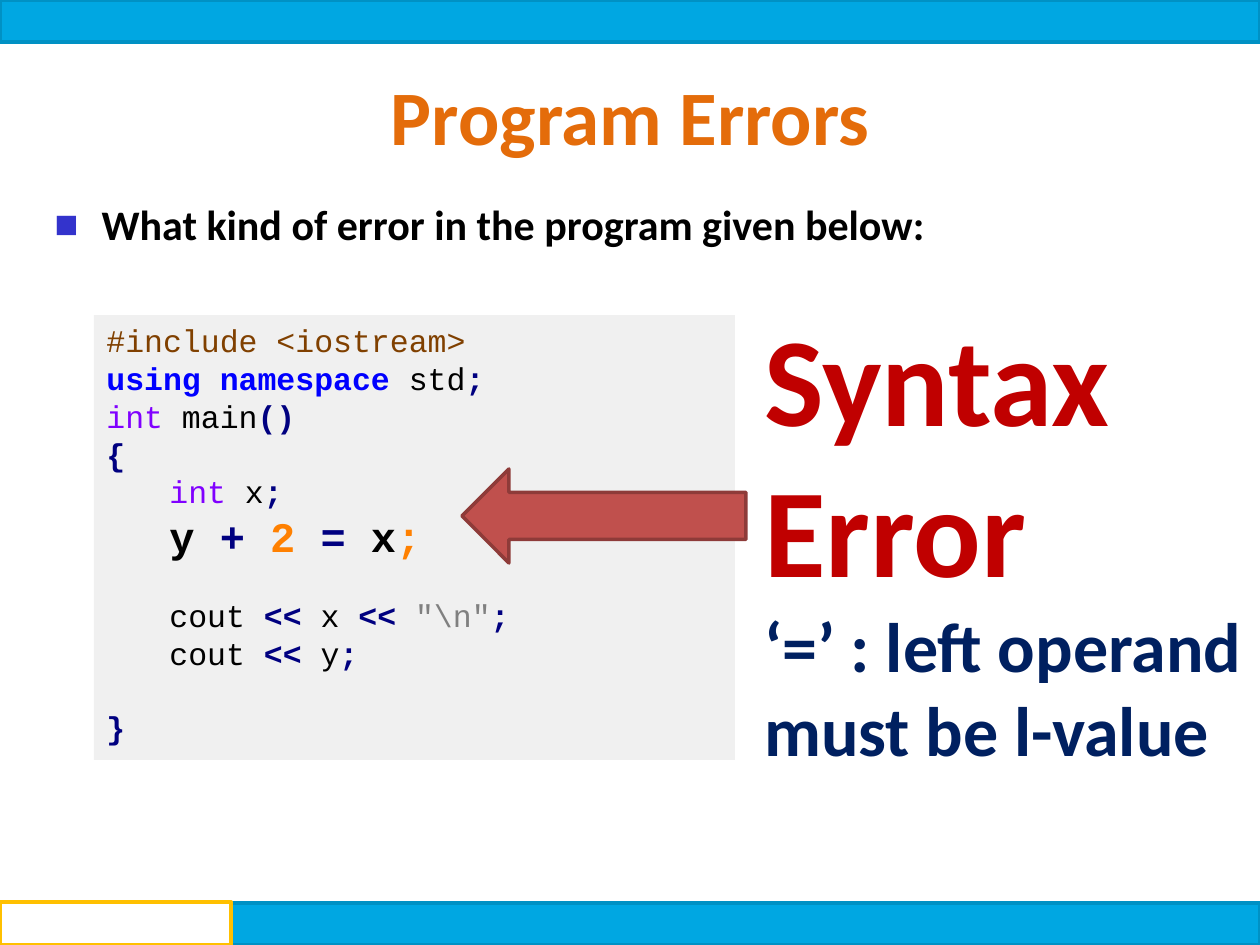
from lxml.etree import SubElement
from pptx import Presentation
from pptx.dml.color import RGBColor
from pptx.enum.shapes import MSO_SHAPE as Shape
from pptx.enum.text import MSO_ANCHOR as Anchor, MSO_AUTO_SIZE as AutoSize, PP_ALIGN as Align
from pptx.oxml.ns import qn
from pptx.util import Emu, Pt

EMU_PER_PX = 914400 / 126
COLORS = {
    "bar": "00A7E2", "bar_line": "0091C4", "white": "FFFFFF", "gold": "FFC000",
    "title": "E46C0A", "black": "000000", "bullet": "3333CC", "panel": "D9D9D9",
    "arrow": "C0504D", "arrow_line": "8E3B39", "verdict": "C00000", "reason": "002060",
    "directive": "804000", "keyword": "0000FF", "type": "8000FF",
    "operator": "000080", "number": "FF8000", "string": "808080",
}
BOLD_TOKENS = {"keyword", "operator"}
CODE_LINE = 20.4  # height in points of one line of 18 pt code

# Each line: indent level, size, blank lines before it, tokens as (text, colour).
CODE = [
    (0, 18, 0, [("#include <iostream>", "directive")]),
    (0, 18, 0, [("using namespace ", "keyword"), ("std", "black"), (";", "operator")]),
    (0, 18, 0, [("int ", "type"), ("main", "black"), ("()", "operator")]),
    (0, 18, 0, [("{", "operator")]),
    (1, 18, 0, [("int", "type"), (" x", "black"), (";", "operator")]),
    (1, 24, 0, [("y ", "black"), ("+ ", "operator"), ("2 ", "number"),
                ("= ", "operator"), ("x", "black"), (";", "number")]),
    (1, 18, 1, [("cout ", "black"), ("<<", "operator"), (" x ", "black"),
                ("<< ", "operator"), ('"\\n"', "string"), (";", "operator")]),
    (1, 18, 0, [("cout ", "black"), ("<<", "operator"), (" y", "black"), (";", "operator")]),
    (0, 18, 1, [("}", "operator")]),
]


def px(length):
    return Emu(round(length * EMU_PER_PX))


def color(name):
    return RGBColor.from_string(COLORS[name])


def style(font, size, color_name, bold=True, face="Calibri"):
    font.name, font.size, font.bold = face, Pt(size), bold
    font.color.rgb = color(color_name)


def place(shape, left, top, width, height):
    shape.left, shape.top, shape.width, shape.height = map(px, (left, top, width, height))


def add_block(slide, preset, bounds, fill, line, line_width=2):
    block = slide.shapes.add_shape(preset, *map(px, bounds))
    block.shadow.inherit = False
    block.fill.solid()
    block.fill.fore_color.rgb = color(fill)
    block.line.color.rgb = color(line)
    block.line.width = Pt(line_width)


def add_text_box(slide, bounds):
    box = slide.shapes.add_textbox(*map(px, bounds))
    box.text_frame.word_wrap = True
    return box


def fill_title(title):
    place(title, 32, 62, 1197, 106)
    title.text_frame.auto_size = AutoSize.NONE
    title.text_frame.text = "Program Errors"
    para = title.text_frame.paragraphs[0]
    para.alignment = Align.CENTER
    style(para.font, 44, "title")


def add_bullet(para, indent):
    """Give the paragraph a small coloured square with a hanging indent."""
    props = para._p.get_or_add_pPr()
    props.set("marL", str(indent))
    props.set("indent", str(-indent))
    tint = SubElement(props, qn("a:buClr"))
    SubElement(tint, qn("a:srgbClr"), val=COLORS["bullet"])
    SubElement(props, qn("a:buSzPct"), val="60000")
    SubElement(props, qn("a:buFont"), typeface="Calibri")
    SubElement(props, qn("a:buChar"), char="■")


def fill_question(body):
    place(body, 42, 198, 1176, 672)
    frame = body.text_frame
    frame.auto_size = AutoSize.NONE
    frame.vertical_anchor = Anchor.TOP
    frame.text = "What kind of error in the program given below:"
    para = frame.paragraphs[0]
    add_bullet(para, px(47))
    para.line_spacing = 0.9
    para.space_before = Pt(0)
    style(para.font, 24, "black")


def add_code(slide):
    box = add_text_box(slide, (94, 315, 641, 445))
    box.fill.solid()
    box.fill.fore_color.rgb = color("panel")
    panel_color = box.fill._xPr.find(qn("a:solidFill")).find(qn("a:srgbClr"))
    SubElement(panel_color, qn("a:alpha"), val="38000")
    for number, (level, size, blanks, tokens) in enumerate(CODE):
        frame = box.text_frame
        para = frame.add_paragraph() if number else frame.paragraphs[0]
        para.level = level
        para._p.get_or_add_pPr().set("marL", str(px(63 * level)))
        para.space_before = Pt(CODE_LINE * blanks)
        for text, token in tokens:
            span = para.add_run()
            span.text = text
            bold = token in BOLD_TOKENS or size > 18
            style(span.font, size, token, bold, "Courier New")


def add_answer(slide):
    frame = add_text_box(slide, (752, 294, 514, 488)).text_frame
    frame.text = "Syntax Error\n‘=’ : left operand must be l-value"
    verdict, reason = frame.paragraphs
    style(verdict.font, 72, "verdict")
    style(reason.font, 40, "reason")


def main():
    deck = Presentation()
    deck.slide_width, deck.slide_height = px(1260), px(945)
    page = deck.slides.add_slide(deck.slide_layouts[1])
    title, body = page.placeholders
    fill_title(title)
    fill_question(body)
    for top in (0, 903):
        add_block(page, Shape.RECTANGLE, (0, top, 1260, 42), "bar", "bar_line")
    add_block(page, Shape.RECTANGLE, (0, 902, 231, 43), "white", "gold", 2.25)
    add_code(page)
    add_answer(page)
    add_block(page, Shape.LEFT_ARROW, (462, 469, 284, 94), "arrow", "arrow_line")
    deck.save("out.pptx")


if __name__ == "__main__":
    main()
